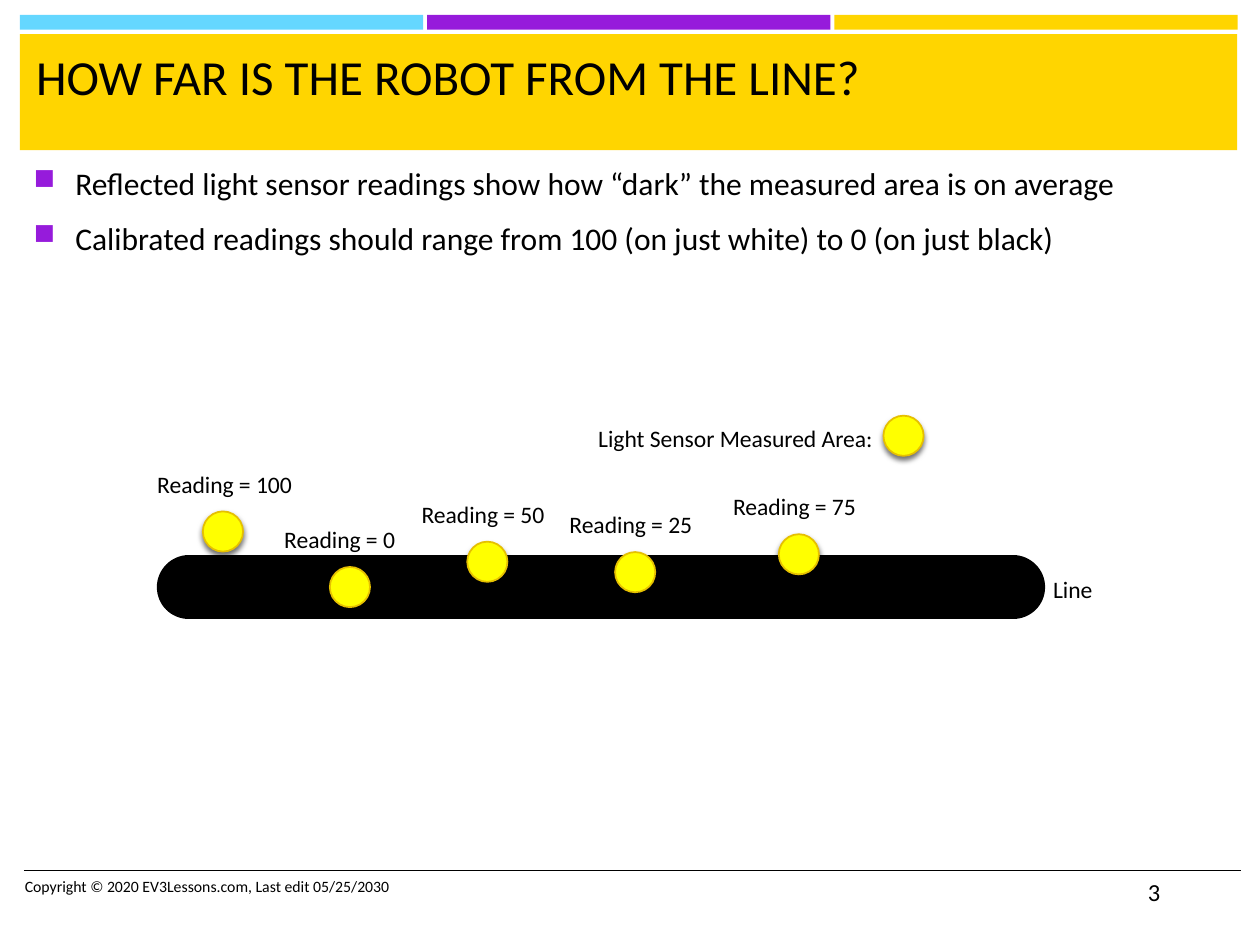
"""Build the slide on light sensor readings along a black line."""
from lxml.etree import SubElement
from pptx import Presentation
from pptx.dml.color import RGBColor
from pptx.enum.shapes import MSO_CONNECTOR, MSO_SHAPE
from pptx.oxml import parse_xml
from pptx.oxml.ns import nsdecls, qn
from pptx.util import Cm, Pt

COLORS = {"blue": "65D7FF", "purple": "961BDB", "gold": "FFD500",
          "yellow": "FFFF00", "edge": "E6C000", "black": "000000"}
FONT = "Calibri"
TITLE = "HOW FAR IS THE ROBOT FROM THE LINE?"
BULLETS = [
    "Reflected light sensor readings show how “dark” the measured area is on average",
    "Calibrated readings should range from 100 (on just white) to 0 (on just black)",
]
FOOTER = "Copyright © 2020 EV3Lessons.com, Last edit 05/25/2030"
PAGE = "3"
LEGEND = ("Light Sensor Measured Area:", 11.81, 8.43, 6.12)
LINE_LABEL = ("Line", 20.98, 11.46, 1.32)
LEGEND_SPOT = (17.81, 8.38)
READINGS = [
    (100, 4.09, 10.31, 3.28),
    (0, 6.65, 11.43, 2.79),
    (50, 9.42, 10.92, 3.02),
    (25, 12.4, 11.13, 3.02),
    (75, 15.7, 10.77, 3.02),
]
BANDS = ["blue", "purple", "gold"]
BAND_LEFT, BAND_STEP, BAND_W = 0.4, 8.21, 8.13
SPOT = 0.81
LABEL_DX, LABEL_DY, LABEL_H = -1.17, -0.97, 0.84


def rgb(name):
    return RGBColor.from_string(COLORS[name])


def add_rect(s, x, y, w, h, color):
    sp = s.shapes.add_shape(MSO_SHAPE.RECTANGLE, Cm(x), Cm(y), Cm(w), Cm(h))
    sp.shadow.inherit = False
    sp.fill.solid()
    sp.fill.fore_color.rgb = rgb(color)
    sp.line.fill.background()


def add_line(s, x1, x2, y, width, cap="flat"):
    sp = s.shapes.add_connector(MSO_CONNECTOR.STRAIGHT, Cm(x1), Cm(y), Cm(x2), Cm(y))
    sp.line.color.rgb = rgb("black")
    sp.line.width = Pt(width)
    sp.line._ln.set("cap", cap)
    SubElement(sp._element.spPr, qn("a:effectLst"))


def add_run(p, text, size):
    r = p.add_run()
    r.text = text
    r.font.name = FONT
    r.font.size = Pt(size)
    r.font.color.rgb = rgb("black")


def add_text(s, text, x, y, w, h, size, wrap=True):
    tf = s.shapes.add_textbox(Cm(x), Cm(y), Cm(w), Cm(h)).text_frame
    tf.word_wrap = wrap
    add_run(tf.paragraphs[0], text, size)


def add_bullets(s, items, x, y, w, h, size):
    tf = s.shapes.add_textbox(Cm(x), Cm(y), Cm(w), Cm(h)).text_frame
    tf.word_wrap = True
    for i, text in enumerate(items):
        p = tf.add_paragraph() if i else tf.paragraphs[0]
        pPr = p._p.get_or_add_pPr()
        pPr.set("marL", str(Cm(0.84)))
        pPr.set("indent", str(-Cm(0.84)))
        clr = SubElement(pPr, qn("a:buClr"))
        SubElement(clr, qn("a:srgbClr"), val=COLORS["purple"])
        SubElement(pPr, qn("a:buSzPct"), val="92000")
        SubElement(pPr, qn("a:buChar"), char="■")
        p.space_before = Pt(size * 0.2 if i else 0)
        p.space_after = Pt(6)
        add_run(p, text, size)


def add_spot(s, x, y):
    sp = s.shapes.add_shape(MSO_SHAPE.OVAL, Cm(x), Cm(y), Cm(SPOT), Cm(SPOT))
    sp.fill.solid()
    sp.fill.fore_color.rgb = rgb("yellow")
    sp.line.color.rgb = rgb("edge")
    sp.line.width = Pt(1)
    sp._element.spPr.append(parse_xml(
        f'<a:effectLst {nsdecls("a")}><a:outerShdw blurRad="{Pt(3)}" dist="{Pt(2)}" '
        f'dir="5400000" rotWithShape="0"><a:srgbClr val="{COLORS["black"]}">'
        '<a:alpha val="55000"/></a:srgbClr></a:outerShdw></a:effectLst>'))


def main():
    prs = Presentation()
    prs.slide_width, prs.slide_height = Cm(25.4), Cm(19.05)
    s = prs.slides.add_slide(prs.slide_layouts[6])

    for i, color in enumerate(BANDS):
        add_rect(s, BAND_LEFT + i * BAND_STEP, 0.3, BAND_W, 0.3, color)
    add_rect(s, BAND_LEFT, 0.69, 24.54, 2.34, "gold")
    add_line(s, 0.48, 25.02, 17.55, 1)
    add_bullets(s, BULLETS, 0.43, 3.18, 24.54, 14.12, 18)
    add_text(s, FOOTER, 0.25, 17.55, 13.54, 1.02, 9)
    add_text(s, TITLE, 0.48, 0.81, 24.31, 2.08, 28)

    add_line(s, 3.81, 20.42, 11.84, 36.75, "rnd")
    add_spot(s, *LEGEND_SPOT)
    for text, x, y, w in (LEGEND, LINE_LABEL):
        add_text(s, text, x, y, w, LABEL_H, 13.5, wrap=False)
    for value, x, y, w in READINGS:
        add_spot(s, x, y)
        add_text(s, f"Reading = {value}", x + LABEL_DX, y + LABEL_DY, w, LABEL_H,
                 13.5, wrap=False)
    add_text(s, PAGE, 22.89, 17.55, 2.13, 1.02, 14)

    prs.save("out.pptx")


if __name__ == "__main__":
    main()
